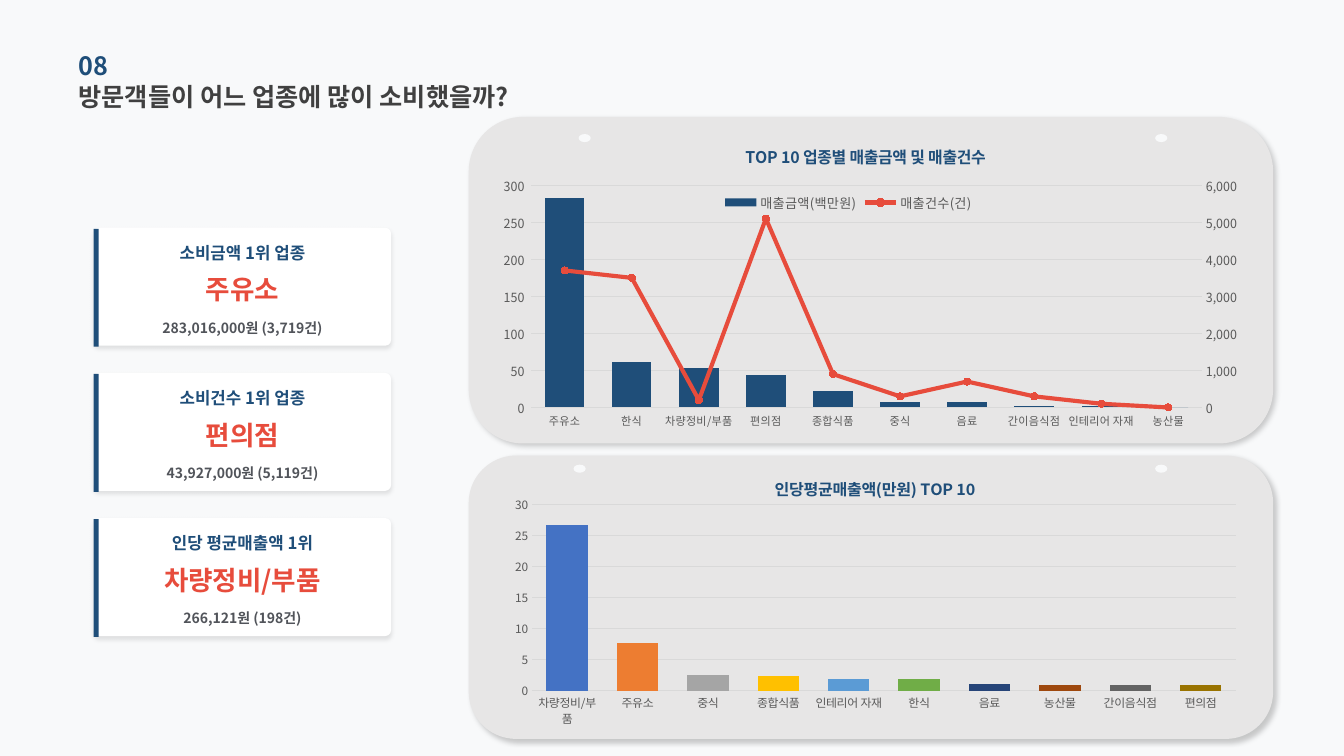
"""Build the slide on which business types visitors spend the most in."""
from copy import deepcopy

from lxml.etree import SubElement
from pptx import Presentation
from pptx.chart.axis import ValueAxis
from pptx.chart.data import CategoryChartData
from pptx.dml.color import RGBColor
from pptx.enum.chart import XL_CHART_TYPE, XL_LEGEND_POSITION, XL_MARKER_STYLE, XL_TICK_MARK
from pptx.enum.shapes import MSO_SHAPE
from pptx.enum.text import MSO_ANCHOR, PP_ALIGN
from pptx.oxml import parse_xml
from pptx.oxml.ns import nsdecls, qn
from pptx.util import Inches, Pt


class Theme:
    page, panel, white, grid = "F8F9FA", "E7E6E6", "FFFFFF", "D9D9D9"
    navy, red, dark, note, axis = "1F4E79", "E74C3C", "404040", "51545A", "595959"
    face = "Noto Sans CJK KR"
    heading, label, winner, detail = 18, 12, 19, 10
    chart_title, legend, ticks, small_ticks, categories = 11.5, 9.5, 9, 8.5, 8


CELL = Inches(0.1)
COLUMNS, ROWS = 133.33, 75
HEADINGS = [("방문객들이 어느 업종에 많이 소비했을까?", Theme.dark, 7.5), ("08", Theme.navy, 4.4)]
CARDS = [
    ("소비금액 1위 업종", "주유소", "283,016,000원 (3,719건)"),
    ("소비건수 1위 업종", "편의점", "43,927,000원 (5,119건)"),
    ("인당 평균매출액 1위", "차량정비/부품", "266,121원 (198건)"),
]
CARD_LEFT, CARD_TOP, CARD_WIDTH, CARD_HEIGHT, CARD_STEP = 9.3, 22.6, 29.5, 11.7, 14.4
CARD_LINES = [
    (1.35, 2.2, Theme.label, Theme.navy),
    (4.4, 3.4, Theme.winner, Theme.red),
    (9.1, 1.7, Theme.detail, Theme.note),
]
PANELS = [(46.5, 45.2, 79.8, 28.1), (46.5, 11.6, 79.8, 32.4)]
HOLES = [(57.4, 13.3), (114.6, 13.3), (114.6, 46.1), (56.9, 46.1)]
SALES = {
    "box": (49.8, 12.4, 73.2, 31.5),
    "title": "TOP 10 업종별 매출금액 및 매출건수",
    "title_place": (0.33, 0.05),
    "plot_place": (0.04, 0.19, 0.92, 0.7),
    "categories": ["주유소", "한식", "차량정비/부품", "편의점", "종합식품",
                   "중식", "음료", "간이음식점", "인테리어 자재", "농산물"],
    "series": [("매출금액(백만원)", [283, 62, 53, 44, 22, 8, 7, 2, 2, 0]),
               ("매출건수(건)", [3700, 3500, 200, 5100, 900, 300, 700, 300, 100, 0])],
    "scale": (300, 50),
    "sizes": (Theme.categories, Theme.ticks),
    "colors": [Theme.navy],
}
COUNT_SCALE = (6000, 1000)
AVERAGES = {
    "box": (49.8, 45.4, 74.3, 26.7),
    "title": "인당평균매출액(만원) TOP 10",
    "title_place": (0.36, 0.06),
    "plot_place": (0.04, 0.18, 0.94, 0.72),
    "categories": ["차량정비/부품", "주유소", "중식", "종합식품", "인테리어 자재",
                   "한식", "음료", "농산물", "간이음식점", "편의점"],
    "series": [("Series 1", [26.6, 7.6, 2.5, 2.4, 1.8, 1.8, 1, 0.9, 0.9, 0.9])],
    "scale": (30, 5),
    "sizes": (Theme.small_ticks, Theme.small_ticks),
    "colors": ["4472C4", "ED7D31", "A5A5A5", "FFC000", "5B9BD5",
               "70AD47", "264478", "9E480E", "636363", "997300"],
}

def cells(*lengths):
    return [round(length * CELL) for length in lengths]

def paint(fill, color):
    fill.solid()
    fill.fore_color.rgb = RGBColor.from_string(color)

def style_font(font, size, color, bold=False):
    font.size, font.bold, font.name = Pt(size), bold, Theme.face
    paint(font.fill, color)
    SubElement(font._element, qn("a:ea"), typeface=Theme.face)

def add_block(shapes, preset, box, color, shadow=None):
    shape = shapes.add_shape(preset, *cells(*box))
    shape.shadow.inherit = False
    paint(shape.fill, color)
    shape.line.fill.background()
    if shadow:
        opacity, blur, distance, angle = shadow
        effects = shape._element.spPr.find(qn("a:effectLst"))
        outer = SubElement(effects, qn("a:outerShdw"), blurRad=str(Pt(blur)), dist=str(Pt(distance)),
                           dir=str(angle * 60000), algn="t", rotWithShape="0")
        black = SubElement(outer, qn("a:srgbClr"), val="000000")
        SubElement(black, qn("a:alpha"), val=str(opacity * 1000))
    return shape

def add_text(shapes, box, text, size, color, alignment=PP_ALIGN.LEFT):
    frame = shapes.add_textbox(*cells(*box)).text_frame
    frame.word_wrap, frame.vertical_anchor = True, MSO_ANCHOR.MIDDLE
    frame.margin_left = frame.margin_right = frame.margin_top = frame.margin_bottom = 0
    frame.paragraphs[0].alignment = alignment
    run = frame.paragraphs[0].add_run()
    run.text = text
    style_font(run.font, size, color, True)

def add_card(slide, row, lines):
    top = CARD_TOP + row * CARD_STEP
    shapes = slide.shapes.add_group_shape().shapes
    card = add_block(shapes, MSO_SHAPE.ROUNDED_RECTANGLE,
                     (CARD_LEFT, top, CARD_WIDTH, CARD_HEIGHT), Theme.white, (10, 3, 2, 90))
    card.adjustments[0] = 0.05
    for text, (offset, height, size, color) in zip(lines, CARD_LINES):
        add_text(shapes, (CARD_LEFT, top + offset, CARD_WIDTH, height), text, size, color, PP_ALIGN.CENTER)
    add_block(slide.shapes, MSO_SHAPE.RECTANGLE, (CARD_LEFT, top + 0.1, 0.5, CARD_HEIGHT), Theme.navy)

def set_layout(following, place, target=""):
    parent = following.getparent()
    for old in parent.findall(qn("c:layout")):
        parent.remove(old)
    modes = "".join(f'<c:{side}Mode val="edge"/>' for side in "xy")
    values = "".join(f'<c:{side} val="{value}"/>' for side, value in zip("xywh", place))
    following.addprevious(parse_xml(
        f'<c:layout {nsdecls("c")}><c:manualLayout>{target}{modes}{values}</c:manualLayout></c:layout>'))

def set_scale(axis, scale):
    axis.minimum_scale = 0
    axis.maximum_scale, axis.major_unit = scale

def add_column_chart(slide, content):
    data = CategoryChartData()
    data.categories = content["categories"]
    for name, values in content["series"]:
        data.add_series(name, values)
    chart = slide.shapes.add_chart(XL_CHART_TYPE.COLUMN_CLUSTERED, *cells(*content["box"]), data).chart
    chart.font.name, chart.font.size = Theme.face, Pt(Theme.detail)
    chart.has_legend = False
    chart._chartSpace.chart.addnext(parse_xml(
        f'<c:spPr {nsdecls("c", "a")}><a:noFill/><a:ln><a:noFill/></a:ln></c:spPr>'))
    run = chart.chart_title.text_frame.paragraphs[0].add_run()
    run.text = content["title"]
    style_font(run.font, Theme.chart_title, Theme.navy, True)
    set_layout(chart.chart_title._element.find(qn("c:overlay")), content["title_place"])
    plot = chart.plots[0]
    plot.gap_width, plot.overlap, plot.vary_by_categories = 70, -27, False
    set_layout(plot._element, content["plot_place"], '<c:layoutTarget val="inner"/>')
    for axis, size in zip((chart.category_axis, chart.value_axis), content["sizes"]):
        axis.major_tick_mark = axis.minor_tick_mark = XL_TICK_MARK.NONE
        style_font(axis.tick_labels.font, size, Theme.axis)
    set_scale(chart.value_axis, content["scale"])
    chart.value_axis.format.line.fill.background()
    for line in (chart.category_axis.format.line, chart.value_axis.major_gridlines.format.line):
        paint(line.fill, Theme.grid)
        line.width = Pt(0.75)
    columns, colors = plot.series[0], content["colors"]
    paint(columns.format.fill, colors[0])
    for index, color in enumerate(colors[1:], 1):
        paint(columns.points[index].format.fill, color)
    return chart

def add_count_line(chart):
    labels = chart.value_axis.tick_labels
    labels.number_format, labels.number_format_is_linked = "#,##0_ ", False
    bars = chart.plots[0]._element
    counts = bars.findall(qn("c:ser"))[1]
    for flag in counts.findall(qn("c:invertIfNegative")):
        counts.remove(flag)
    lines = parse_xml(
        f'<c:lineChart {nsdecls("c")}><c:grouping val="standard"/><c:varyColors val="0"/>'
        '<c:marker val="1"/><c:axId val="5001"/><c:axId val="5002"/></c:lineChart>')
    lines.insert(2, counts)
    bars.addnext(lines)
    category, value = deepcopy(chart.category_axis._element), deepcopy(chart.value_axis._element)
    chart.value_axis._element.addnext(value)
    value.addnext(category)
    for axis, tag, setting in ((category, "axId", "5001"), (category, "crossAx", "5002"),
                               (category, "delete", "1"), (value, "axId", "5002"),
                               (value, "crossAx", "5001"), (value, "axPos", "r"), (value, "crosses", "max")):
        axis.find(qn(f"c:{tag}")).set("val", setting)
    right_axis = ValueAxis(value)
    right_axis.has_major_gridlines = False
    set_scale(right_axis, COUNT_SCALE)
    series = chart.plots[1].series[0]
    series.smooth, series.format.line.width = False, Pt(3)
    series.marker.style, series.marker.size = XL_MARKER_STYLE.CIRCLE, 5
    for part in (series.format.line, series.marker.format, series.marker.format.line):
        paint(part.fill, Theme.red)
    chart.has_legend = True
    legend = chart.legend
    legend.position, legend.include_in_layout = XL_LEGEND_POSITION.TOP, False
    style_font(legend.font, Theme.legend, Theme.axis)
    set_layout(legend._element.find(qn("c:overlay")), (0.3, 0.2))

def main():
    presentation = Presentation()
    presentation.slide_width, presentation.slide_height = cells(COLUMNS, ROWS)
    slide = presentation.slides.add_slide(presentation.slide_layouts[6])
    paint(slide.background.fill, Theme.page)
    for box in PANELS:
        add_block(slide.shapes, MSO_SHAPE.ROUNDED_RECTANGLE, box, Theme.panel, (20, 4, 3, 45))
    for text, color, top in HEADINGS:
        add_text(slide.shapes, (7.8, top, 45.2, 4.1), text, Theme.heading, color)
    for row, lines in enumerate(CARDS):
        add_card(slide, row, lines)
    add_count_line(add_column_chart(slide, SALES))
    add_column_chart(slide, AVERAGES)
    for left, top in HOLES:
        add_block(slide.shapes, MSO_SHAPE.OVAL, (left, top, 1.2, 0.8), Theme.page)
    presentation.save("out.pptx")

if __name__ == "__main__":
    main()
